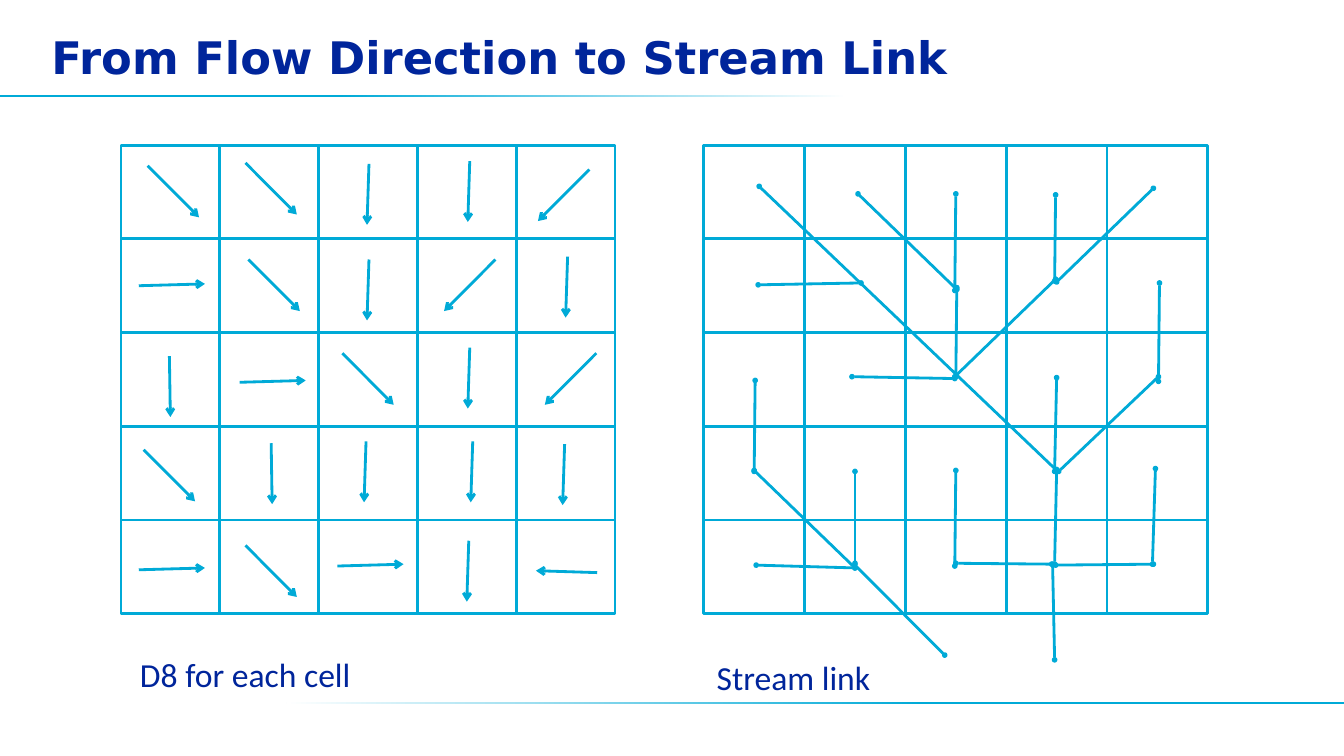
import pptx
import pptx.dml.color
import pptx.enum.shapes
import pptx.enum.text
import pptx.oxml
import pptx.oxml.ns
import pptx.util

SLIDE_WIDTH, SLIDE_HEIGHT = 13.33, 7.5
COLORS = {"cyan": "00AAD7", "navy": "00259B", "white": "FFFFFF"}
TITLE = "From Flow Direction to Stream Link"
CAPTIONS = [("D8 for each cell", 1.29, 6.44), ("Stream link", 7.01, 6.47)]
RULES = [(0, 0.94, 8.4, 0), (2.84, 6.96, 10.5, 180)]
GRID_SIZE = 5
FLOW_GRID = {"left": 1.2, "top": 1.44, "column": 0.98, "row": 0.93}
STREAM_GRID = {"left": 6.98, "top": 1.44, "column": 1.0, "row": 0.93}

DIRECTIONS = {
    "E": (0.67, -0.02),
    "SE": (0.52, 0.55),
    "S": (-0.02, 0.65),
    "S+": (0.01, 0.65),
    "SW": (-0.52, 0.55),
    "W": (-0.62, -0.02),
}
FLOW_CELLS = [
    [("SE", 0.27, 0.22), ("SE", 0.26, 0.19), ("S", 0.51, 0.2), ("S", 0.53, 0.17), ("SW", 0.74, 0.26)],
    [("E", 0.18, 0.5), ("SE", 0.29, 0.22), ("S", 0.51, 0.22), ("SW", 0.79, 0.22), ("S", 0.52, 0.19)],
    [("S+", 0.49, 0.25), ("E", 0.2, 0.53), ("SE", 0.24, 0.22), ("S", 0.53, 0.16), ("SW", 0.81, 0.22)],
    [("SE", 0.23, 0.25), ("S+", 0.52, 0.18), ("S", 0.48, 0.16), ("S", 0.56, 0.16), ("S", 0.49, 0.19)],
    [("E", 0.18, 0.53), ("SE", 0.26, 0.27), ("E", 0.19, 0.49), ("S", 0.52, 0.22), ("W", 0.82, 0.56)],
]
STREAM_LINKS = [
    (0.55, 0.44, 3.5, 3.47),
    (1.53, 0.52, 2.51, 1.54),
    (0.51, 2.51, 0.5, 3.48),
    (3.46, 4.47, 3.48, 5.49),
    (0.5, 3.47, 1.5, 4.51),
    (0.52, 4.48, 1.5, 4.51),
    (2.5, 4.46, 3.45, 4.47),
    (1.5, 4.48, 2.39, 5.44),
    (1.5, 3.48, 1.5, 4.46),
    (1.47, 2.47, 2.49, 2.49),
    (0.54, 1.49, 1.56, 1.47),
    (2.5, 0.52, 2.49, 1.55),
    (2.51, 1.52, 2.5, 2.47),
    (4.48, 3.45, 4.45, 4.47),
    (2.5, 3.47, 2.49, 4.49),
    (3.49, 0.53, 3.48, 1.45),
    (3.5, 2.48, 3.48, 3.48),
    (4.46, 4.47, 3.49, 4.48),
    (4.52, 1.47, 4.51, 2.52),
    (3.49, 1.43, 2.49, 2.47),
    (4.46, 0.46, 3.5, 1.46),
    (4.51, 2.47, 3.52, 3.48),
    (3.5, 3.46, 3.48, 4.47),
]

inch = pptx.util.Inches


def color(name):
    return pptx.dml.color.RGBColor.from_string(COLORS[name])


def place(grid, column, row):
    return (inch(grid["left"] + column * grid["column"]),
            inch(grid["top"] + row * grid["row"]))


def style_line(shape):
    shape.line.color.rgb = color("cyan")
    shape.line.width = pptx.util.Pt(2)


def add_rectangle(shapes, left, top, width, height):
    rectangle = shapes.add_shape(
        pptx.enum.shapes.MSO_SHAPE.RECTANGLE, left, top, width, height)
    rectangle.shadow.inherit = False
    return rectangle


def add_rule(shapes, left, top, width, rotation):
    rule = add_rectangle(shapes, inch(left), inch(top), inch(width), inch(0.02))
    rule.rotation = rotation
    rule.line.fill.background()
    rule.fill.gradient()
    rule.fill.gradient_angle = 0
    stops = zip(rule.fill.gradient_stops, [(0.4, "cyan"), (1, "white")])
    for stop, (position, name) in stops:
        stop.position = position
        stop.color.rgb = color(name)


def add_cells(shapes, grid):
    for row in range(GRID_SIZE):
        for column in range(GRID_SIZE):
            cell = add_rectangle(shapes, *place(grid, column, row),
                                 inch(grid["column"]), inch(grid["row"]))
            cell.fill.solid()
            cell.fill.fore_color.rgb = color("white")
            style_line(cell)


def add_link(shapes, grid, start, end, ends):
    link = shapes.add_connector(pptx.enum.shapes.MSO_CONNECTOR.STRAIGHT,
                                *place(grid, *start), *place(grid, *end))
    style_line(link)
    line = link.line._get_or_add_ln()
    for tag, kind, size in ends:
        mark = pptx.oxml.parse_xml(
            f'<a:{tag} {pptx.oxml.ns.nsdecls("a")} type="{kind}" w="{size}" len="{size}"/>')
        line.append(mark)
    link._element.spPr.append(
        pptx.oxml.parse_xml(f'<a:effectLst {pptx.oxml.ns.nsdecls("a")}/>'))


def add_text(paragraph, text, size, font, bold=False):
    run = paragraph.add_run()
    run.text = text
    run.font.size = pptx.util.Pt(size)
    run.font.name = font
    run.font.bold = bold
    run.font.color.rgb = color("navy")


def format_title(title):
    title.left, title.top = inch(0.41), inch(0.16)
    title.width, title.height = inch(10.5), inch(0.72)
    frame = title.text_frame
    frame.auto_size = pptx.enum.text.MSO_AUTO_SIZE.NONE
    frame.vertical_anchor = pptx.enum.text.MSO_ANCHOR.BOTTOM
    paragraph = frame.paragraphs[0]
    paragraph.alignment = pptx.enum.text.PP_ALIGN.LEFT
    paragraph.line_spacing = pptx.util.Pt(37.3)
    add_text(paragraph, TITLE, 32, "DejaVu Sans", True)


def add_caption(shapes, text, left, top):
    caption = shapes.add_textbox(inch(left), inch(top), inch(4.87), inch(0.5))
    caption.text_frame.word_wrap = True
    caption.text_frame.auto_size = pptx.enum.text.MSO_AUTO_SIZE.SHAPE_TO_FIT_TEXT
    add_text(caption.text_frame.paragraphs[0], text, 24, "Calibri")


def main():
    presentation = pptx.Presentation()
    presentation.slide_width = inch(SLIDE_WIDTH)
    presentation.slide_height = inch(SLIDE_HEIGHT)
    slide = presentation.slides.add_slide(presentation.slide_layouts[5])
    format_title(slide.shapes.title)
    for rule in RULES:
        add_rule(slide.shapes, *rule)

    flow_group = slide.shapes.add_group_shape()
    add_cells(flow_group.shapes, FLOW_GRID)
    for row, cells in enumerate(FLOW_CELLS):
        for column, (direction, across, down) in enumerate(cells):
            start = (column + across, row + down)
            step = DIRECTIONS[direction]
            end = (start[0] + step[0], start[1] + step[1])
            add_link(flow_group.shapes, FLOW_GRID, start, end,
                     [("tailEnd", "arrow", "med")])

    stream_group = slide.shapes.add_group_shape()
    add_cells(stream_group.shapes, STREAM_GRID)
    for link in STREAM_LINKS:
        add_link(slide.shapes, STREAM_GRID, link[:2], link[2:],
                 [("headEnd", "oval", "sm"), ("tailEnd", "oval", "sm")])

    for caption in CAPTIONS:
        add_caption(slide.shapes, *caption)
    presentation.save("out.pptx")


if __name__ == "__main__":
    main()
